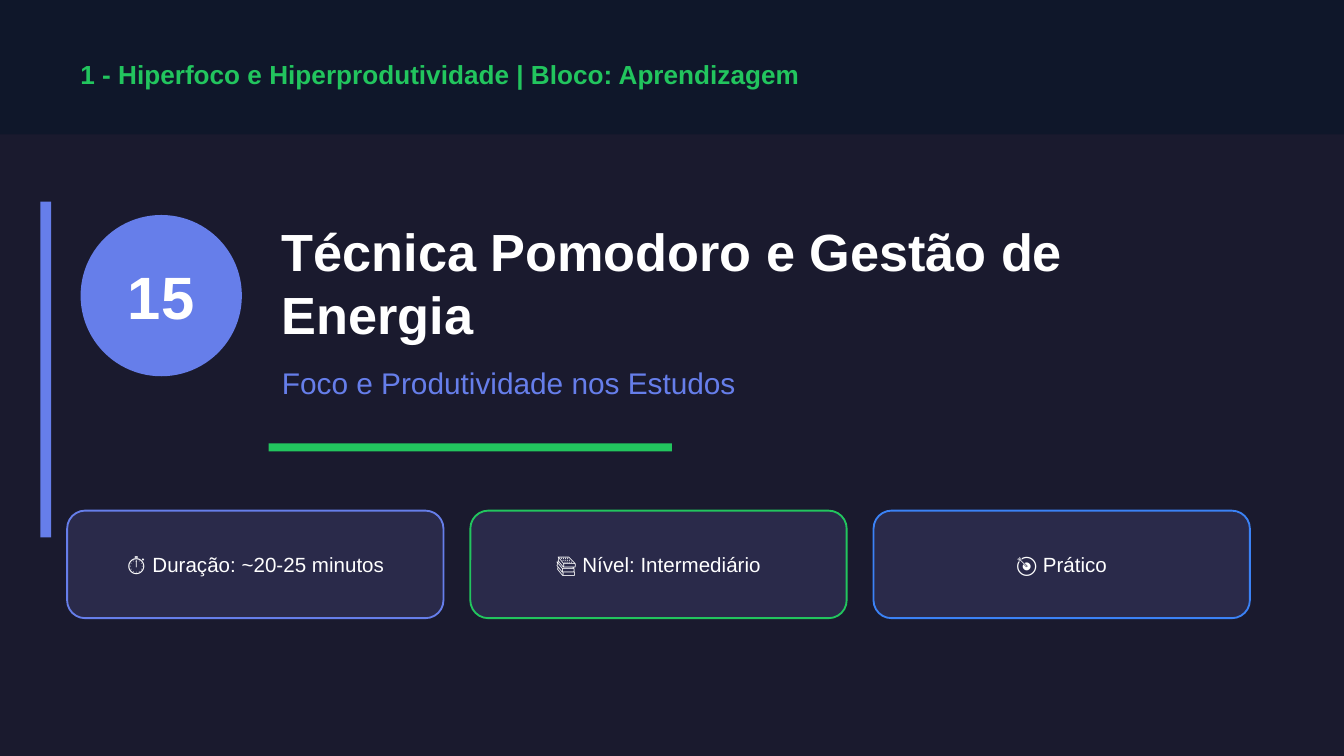
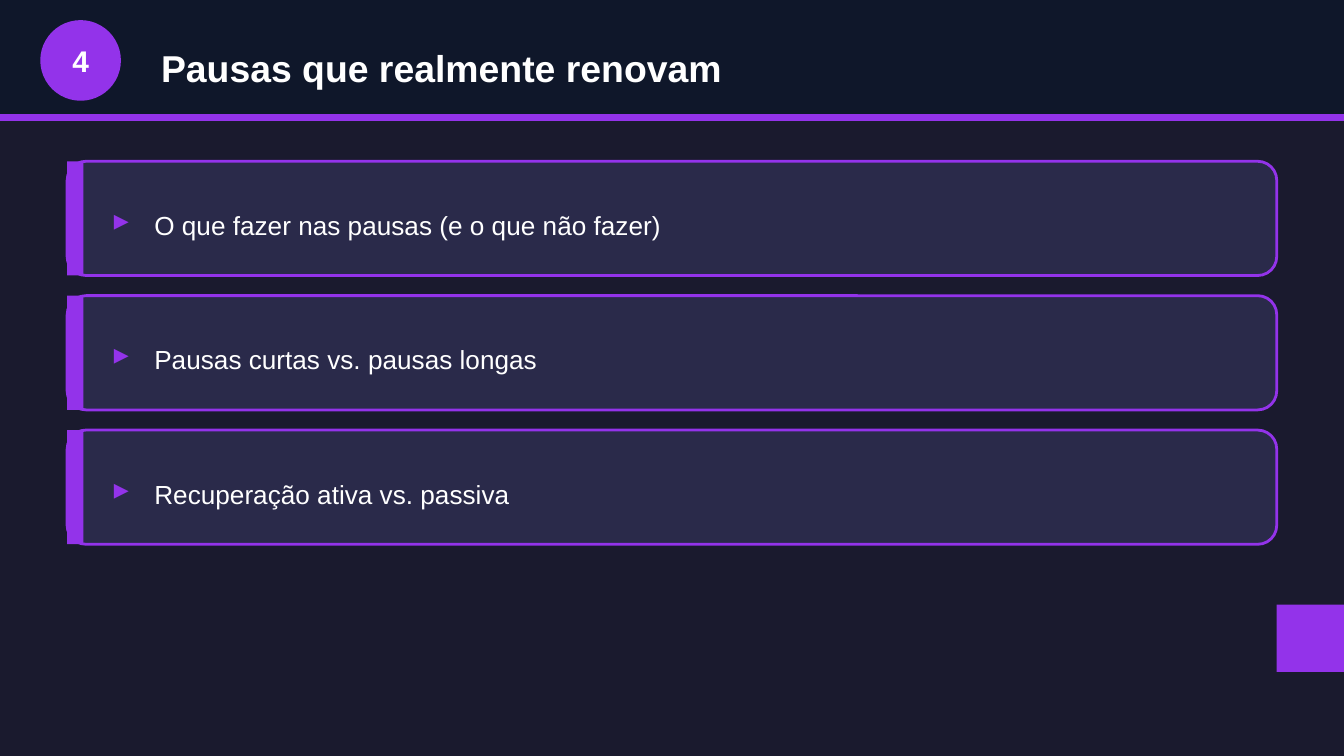
import pptx
import pptx.dml.color
import pptx.enum.shapes
import pptx.enum.text
import pptx.util

COLORS = {
    "background": "1A1A2E",
    "band": "0F172A",
    "card": "2A2A4A",
    "text": "FFFFFF",
    "indigo": "667EEA",
    "green": "22C55E",
    "blue": "3B82F6",
    "purple": "9333EA",
}
FONT = "Arial"
FORMS = pptx.enum.shapes.MSO_SHAPE
ALIGN = pptx.enum.text.PP_ALIGN

deck = pptx.Presentation()
deck.slide_width = pptx.util.Inches(10)
deck.slide_height = deck.slide_width * 9 // 16

# Square grid: 100 columns across the slide, rows of the same size
UNIT = deck.slide_width / 100


def rgb(color):
    return pptx.dml.color.RGBColor.from_string(COLORS[color])


def add_block(slide, form, area, color, outline=None, weight=1):
    block = slide.shapes.add_shape(form, *[round(n * UNIT) for n in area])
    block.shadow.inherit = False
    block.fill.solid()
    block.fill.fore_color.rgb = rgb(color)
    if outline:
        block.line.color.rgb = rgb(outline)
        block.line.width = pptx.util.Pt(weight)
    else:
        block.line.fill.background()


def add_label(slide, area, text, size, color="text", bold=False, align=ALIGN.LEFT):
    frame = slide.shapes.add_textbox(*[round(n * UNIT) for n in area]).text_frame
    frame.word_wrap = True
    frame.vertical_anchor = pptx.enum.text.MSO_ANCHOR.MIDDLE
    paragraph = frame.paragraphs[0]
    paragraph.text = text
    paragraph.alignment = align
    paragraph.font.name = FONT
    paragraph.font.size = pptx.util.Pt(size)
    paragraph.font.bold = bold
    paragraph.font.color.rgb = rgb(color)


# Both slides: dark background and header band
pages = []
for band_rows in (10, 9):
    page = deck.slides.add_slide(deck.slide_layouts[6])
    page.background.fill.solid()
    page.background.fill.fore_color.rgb = rgb("background")
    add_block(page, FORMS.RECTANGLE, (0, 0, 100, band_rows), "band")
    pages.append(page)
cover, pauses = pages

# Cover: module line, lesson number and title
add_label(cover, (5, 3.5, 90, 4),
          "1 - Hiperfoco e Hiperprodutividade | Bloco: Aprendizagem", 14, "green", True)
add_block(cover, FORMS.RECTANGLE, (3, 15, 0.8, 25), "indigo")
add_block(cover, FORMS.OVAL, (6, 16, 12, 12), "indigo")
add_label(cover, (6, 18.5, 12, 7), "15", 32, bold=True, align=ALIGN.CENTER)
add_label(cover, (20, 16, 75, 10), "Técnica Pomodoro e Gestão de Energia", 28, bold=True)
add_label(cover, (20, 26, 75, 5), "Foco e Produtividade nos Estudos", 16, "indigo")
add_block(cover, FORMS.RECTANGLE, (20, 33, 30, 0.6), "green")

# Cover: lesson facts
facts = [
    ("⏱ Duração: ~20-25 minutos", "indigo"),
    ("📚 Nível: Intermediário", "green"),
    ("🎯 Prático", "blue"),
]
for index, (fact, accent) in enumerate(facts):
    left = 5 + 30 * index
    add_block(cover, FORMS.ROUNDED_RECTANGLE, (left, 38, 28, 8), "card", accent)
    add_label(cover, (left, 39.5, 28, 5), fact, 11, align=ALIGN.CENTER)

# Pauses: section number and title
add_block(pauses, FORMS.RECTANGLE, (0, 8.5, 100, 0.5), "purple")
add_block(pauses, FORMS.OVAL, (3, 1.5, 6, 6), "purple")
add_label(pauses, (3, 2.5, 6, 4), "4", 16, bold=True, align=ALIGN.CENTER)
add_label(pauses, (11, 2.5, 85, 5), "Pausas que realmente renovam", 20, bold=True)

# Pauses: topic cards
topics = [
    "O que fazer nas pausas (e o que não fazer)",
    "Pausas curtas vs. pausas longas",
    "Recuperação ativa vs. passiva",
]
for index, topic in enumerate(topics):
    top = 12 + 10 * index
    add_block(pauses, FORMS.ROUNDED_RECTANGLE, (5, top, 90, 8.5), "card", "purple", 1.5)
    add_block(pauses, FORMS.RECTANGLE, (5, top, 1.2, 8.5), "purple")
    add_label(pauses, (7.5, top + 2.5, 3, 3.5), "▸", 16, "purple", True)
    add_label(pauses, (10.5, top + 2.5, 82, 4.5), topic, 14)

# Pauses: corner accent
add_block(pauses, FORMS.RECTANGLE, (95, 45, 5, 5), "purple")

deck.save("out.pptx")
